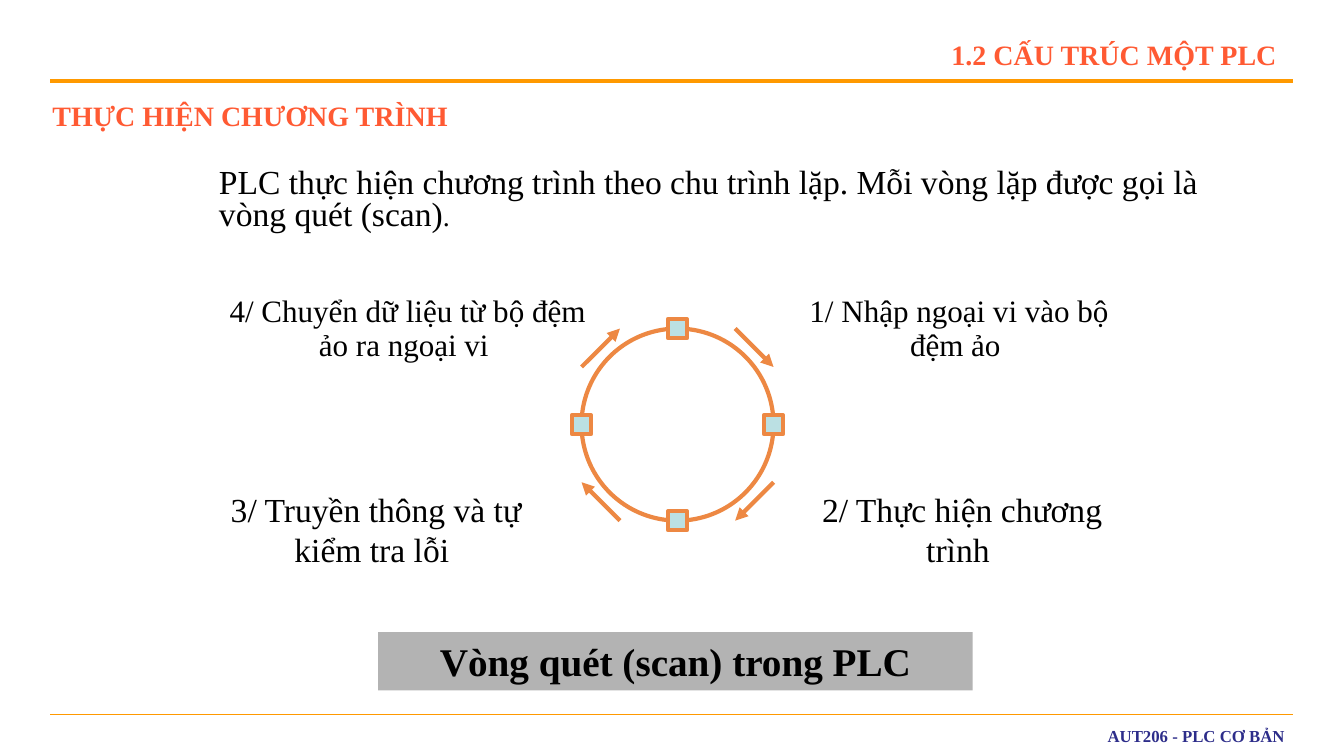
from lxml import etree
from pptx import Presentation
from pptx.dml.color import RGBColor
from pptx.enum.shapes import MSO_CONNECTOR, MSO_SHAPE
from pptx.enum.text import MSO_ANCHOR, MSO_AUTO_SIZE, PP_ALIGN
from pptx.oxml.ns import qn
from pptx.util import Cm, Pt

STRAIGHT = MSO_CONNECTOR.STRAIGHT
OVAL, RECTANGLE = MSO_SHAPE.OVAL, MSO_SHAPE.RECTANGLE
TOP, MIDDLE = MSO_ANCHOR.TOP, MSO_ANCHOR.MIDDLE
LEFT, CENTER, RIGHT = PP_ALIGN.LEFT, PP_ALIGN.CENTER, PP_ALIGN.RIGHT
NO_AUTOFIT = MSO_AUTO_SIZE.NONE

FONT = "Times New Roman"
BLACK, CORAL, NAVY = "000000", "FF5A33", "2D2D8A"
RULE_ORANGE, CYCLE_ORANGE = "FF9900", "ED8843"
MARKER_BLUE, CAPTION_GREY = "BBE0E3", "B3B3B3"


def color(hex_value):
    return RGBColor.from_string(hex_value)


def place(shape, box):
    shape.left, shape.top, shape.width, shape.height = (Cm(value) for value in box)


def write(shape, *pieces, size=20, ink=BLACK, bold=False, align=CENTER,
          anchor=TOP, spacing=1.0):
    """Fill one paragraph; a piece is a string or a (string, size) pair."""
    frame = shape.text_frame
    frame.word_wrap = True
    frame.auto_size = NO_AUTOFIT
    frame.vertical_anchor = anchor
    frame.margin_left = frame.margin_right = Cm(0.25)
    frame.margin_top = frame.margin_bottom = Cm(0.13)
    paragraph = frame.paragraphs[0]
    paragraph.alignment = align
    paragraph.line_spacing = spacing
    paragraph.space_before = Pt(0)
    for piece in pieces:
        text, points = (piece, size) if isinstance(piece, str) else piece
        run = paragraph.add_run()
        run.text = text
        run.font.name, run.font.size, run.font.bold = FONT, Pt(points), bold
        run.font.color.rgb = color(ink)
    return paragraph


def add_text(slide, box, text, **text_format):
    text_box = slide.shapes.add_textbox(*(Cm(value) for value in box))
    write(text_box, text, **text_format)


def add_block(shapes, kind, box, fill=None, line=None):
    shape = shapes.add_shape(kind, *(Cm(value) for value in box))
    shape.shadow.inherit = False
    if fill:
        shape.fill.solid()
        shape.fill.fore_color.rgb = color(fill)
    else:
        shape.fill.background()
    if line:
        shape.line.color.rgb = color(line)
        shape.line.width = Pt(3)
    else:
        shape.line.fill.background()
    return shape


def add_line(shapes, ends, ink, width, arrow=False):
    connector = shapes.add_connector(STRAIGHT, *(Cm(value) for value in ends))
    connector.line.color.rgb = color(ink)
    connector.line.width = Pt(width)
    properties = connector.element.spPr
    if arrow:
        etree.SubElement(properties.find(qn("a:ln")), qn("a:tailEnd"), type="triangle")
    etree.SubElement(properties, qn("a:effectLst"))


def add_frame(slide, box):
    """Draw the rules above and below the content, with the title and footer."""
    left, top, width, height = box
    right, bottom = left + width, top + height
    add_line(slide.shapes, (left, top, right, top), RULE_ORANGE, 3)
    add_line(slide.shapes, (left, bottom, right, bottom), RULE_ORANGE, 0.75)
    add_text(slide, (right - 22.8, bottom + 0.05, 22.85, 0.97), "AUT206 - PLC CƠ BẢN",
             size=12, ink=NAVY, bold=True, align=RIGHT, anchor=MIDDLE)
    heading = dict(size=20, ink=CORAL, bold=True, align=RIGHT, anchor=MIDDLE)
    title = slide.shapes.title
    place(title, (right - 9.3, top - 1.35, 9.32, 1.35))
    write(title, "1.2 CẤU TRÚC MỘT PLC ", **heading)
    add_text(slide, (left - 0.33, top + 0.2, 10.6, 1.35), "THỰC HIỆN CHƯƠNG TRÌNH",
             **heading)


def add_introduction(slide, box):
    body = slide.placeholders[1]
    place(body, box)
    paragraph = write(
        body,
        "PLC thực hiện chương trình theo chu trình lặp. "
        "Mỗi vòng lặp được gọi là vòng quét (scan)",
        (".", 20), size=24, align=LEFT, spacing=0.8)
    properties = paragraph._p.get_or_add_pPr()
    properties.set("marL", str(Cm(0.95)))
    properties.set("indent", "0")
    etree.SubElement(properties, qn("a:buNone"))


def add_scan_cycle(slide, box):
    """Draw the ring with a marker on each side and clockwise corner arrows."""
    left, top, width, height = box
    shapes = slide.shapes.add_group_shape().shapes
    add_block(shapes, OVAL, box, line=CYCLE_ORANGE)
    side = 0.48
    for across, down in ((1, 0.5), (0.5, 1), (0, 0.5), (0.5, 0)):
        marker = (left + across * width - side / 2, top + down * height - side / 2,
                  side, side)
        add_block(shapes, RECTANGLE, marker, MARKER_BLUE, CYCLE_ORANGE)
    for x1, y1, x2, y2 in ((0.8, 0, 1, 0.2), (1, 0.8, 0.8, 1),
                           (0.2, 1, 0, 0.8), (0, 0.2, 0.2, 0)):
        ends = (left + x1 * width, top + y1 * height,
                left + x2 * width, top + y2 * height)
        add_line(shapes, ends, CYCLE_ORANGE, 3, arrow=True)


def add_step_labels(slide, box):
    left, top, width, height = box
    right, lower = left + width, top + height - 2.36
    upper_format = dict(size=22.2, spacing=0.9)
    lower_format = dict(size=24)
    steps = (
        (right - 8.38, top, 8.38, "1/ Nhập ngoại vi vào bộ đệm ảo ", upper_format),
        (right - 8.23, lower, 8.23, "2/ Thực hiện chương trình ", lower_format),
        (left, lower, 8.08, "3/ Truyền thông và tự kiểm tra lỗi ", lower_format),
        (left, top, 9.68, "4/ Chuyển dữ liệu từ bộ đệm ảo ra ngoại vi ", upper_format),
    )
    for x, y, label_width, text, text_format in steps:
        add_text(slide, (x, y, label_width, 2.36), text, **text_format)


def add_caption(slide, box):
    caption = add_block(slide.shapes, RECTANGLE, box, CAPTION_GREY)
    write(caption, "Vòng quét (scan) trong PLC", size=28, bold=True, anchor=MIDDLE)


def main():
    presentation = Presentation()
    presentation.slide_width, presentation.slide_height = Cm(33.88), Cm(19.05)
    slide = presentation.slides.add_slide(presentation.slide_layouts[1])
    add_frame(slide, (1.27, 2.04, 31.32, 15.97))
    add_introduction(slide, (4.32, 4.11, 27.31, 13.26))
    add_scan_cycle(slide, (14.66, 8.28, 4.84, 4.84))
    add_caption(slide, (9.53, 15.93, 14.99, 1.47))
    add_step_labels(slide, (5.44, 7.32, 22.93, 7.23))
    presentation.save("out.pptx")


if __name__ == "__main__":
    main()
